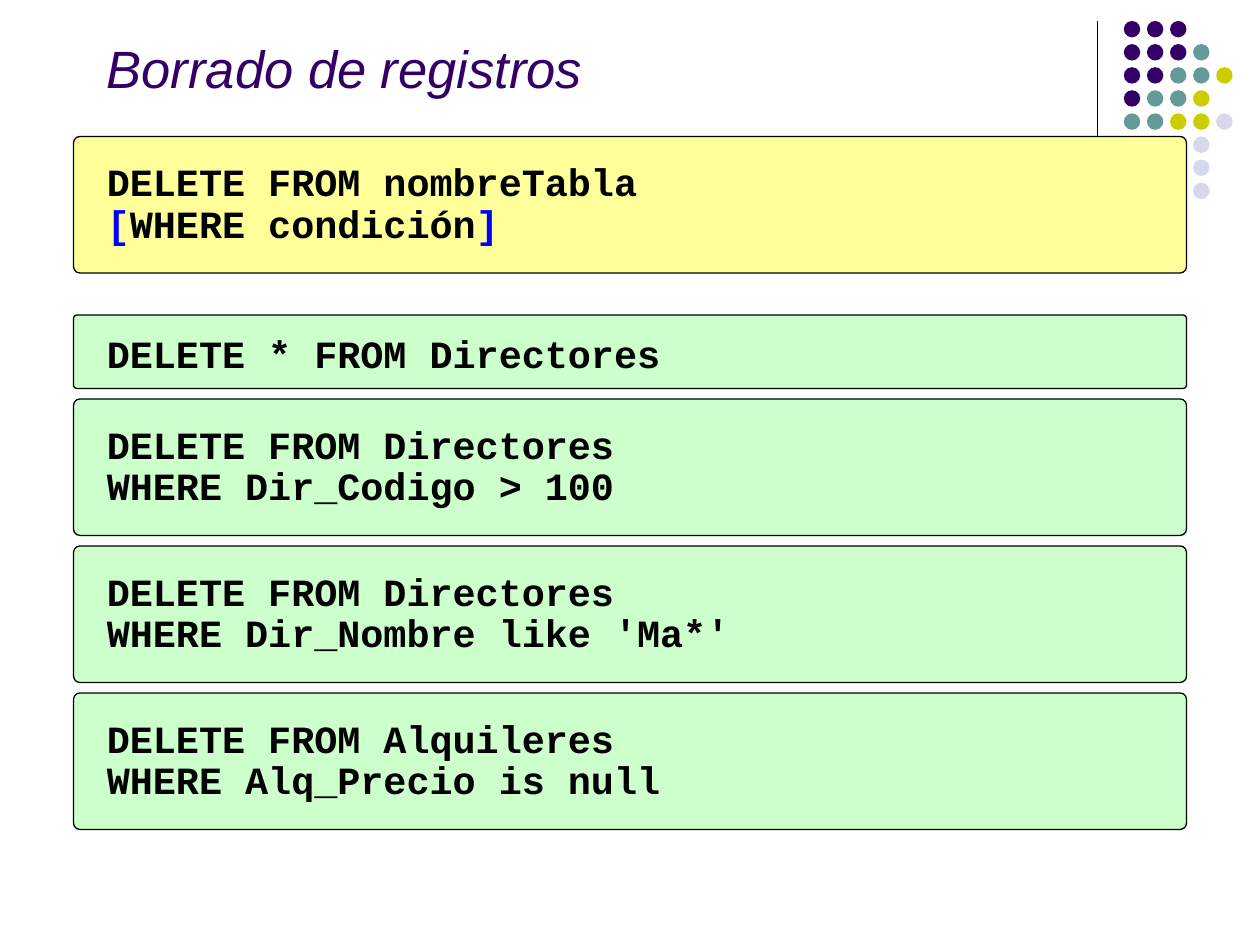
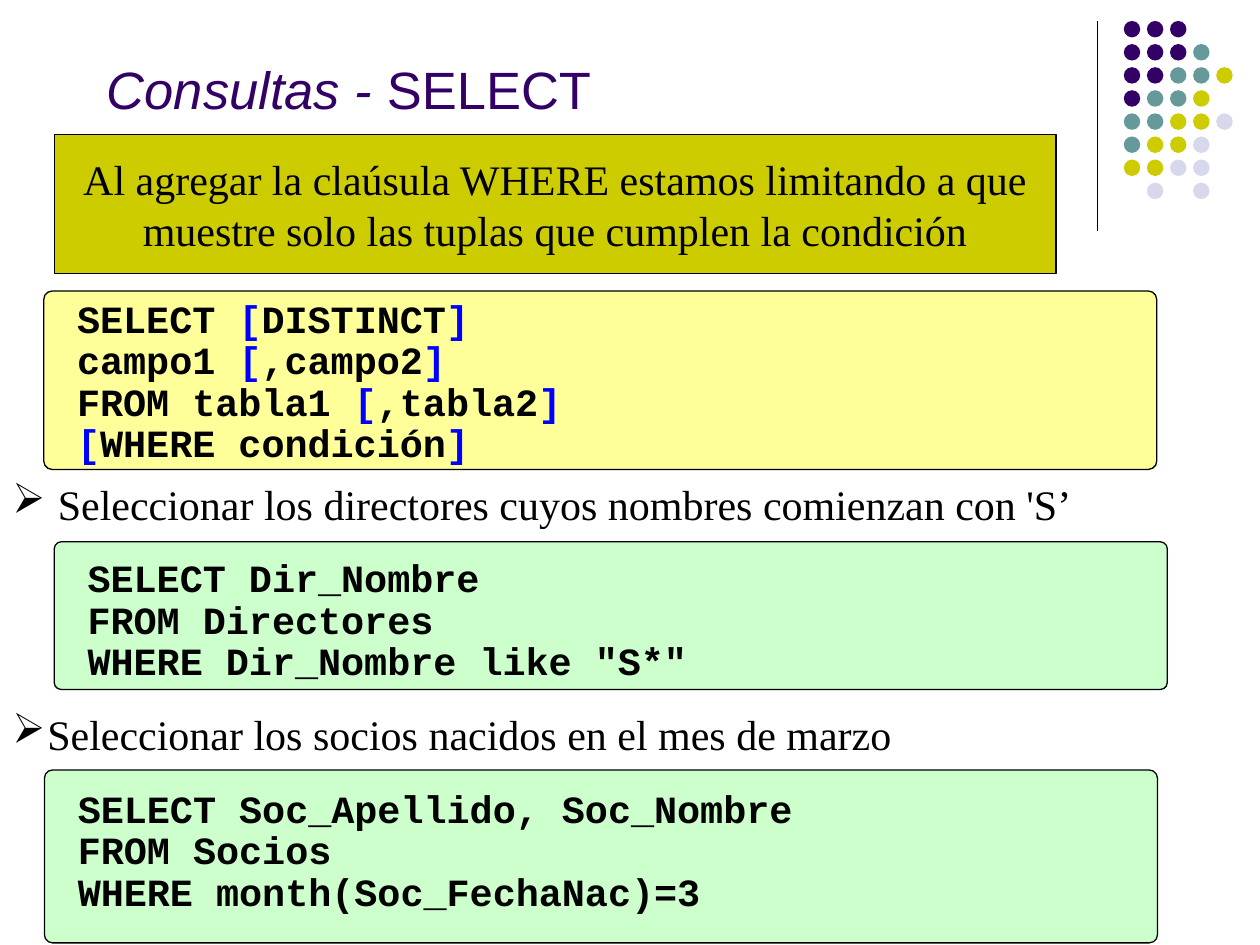
"""Two SQL slides: deleting records and SELECT queries with WHERE."""
from itertools import groupby

from lxml import etree
from pptx import Presentation
from pptx import util as u
from pptx.dml.color import RGBColor
from pptx.enum import shapes, text
from pptx.oxml import ns

Pt = u.Pt
COLORS = {"ink": "000000", "title": "330066", "bracket": "0000FF", "syntax": "FFFF99",
          "example": "CCFFCC", "P": "330066", "T": "669999", "Y": "CCCC00", "L": "D8D8EC"}
FORMATS = {
    "title": {"name": "Arial", "size": Pt(30), "italic": True},
    "code": {"name": "Courier New", "size": Pt(22), "bold": True},
    "body": {"name": "Times New Roman", "size": Pt(24)},
}
UPPER_DOTS = ["PPP", "PPPT", "PPTTY", "PTTY", "TTYYL"]
PANEL_WIDTH = 636


class Deck:
    """Holds the shared style and the current slide."""

    def __init__(self):
        self.prs = Presentation()
        self.prs.slide_width, self.prs.slide_height = Pt(720), Pt(540)
        self.slide = None

    def new_slide(self, lower_dots):
        self.slide = self.prs.slides.add_slide(self.prs.slide_layouts[6])
        self.rule(627, 12, 132)
        for row, codes in enumerate(UPPER_DOTS + lower_dots):
            for col, code in enumerate(codes):
                if code in COLORS:
                    self.shape(shapes.MSO_SHAPE.OVAL, 642.2 + 13.2 * col,
                               12 + 13.2 * row, 9.4, 9.4, code)

    def rule(self, x, top, bottom):
        rule = self.slide.shapes.add_connector(
            shapes.MSO_CONNECTOR.STRAIGHT, Pt(x), Pt(top), Pt(x), Pt(bottom))
        rule.line.color.rgb = RGBColor.from_string(COLORS["ink"])
        rule.line.width = Pt(0.75)
        etree.SubElement(rule._element.spPr, ns.qn("a:effectLst"))

    def shape(self, kind, left, top, width, height, fill, outlined=False):
        shape = self.slide.shapes.add_shape(kind, Pt(left), Pt(top), Pt(width), Pt(height))
        shape.shadow.inherit = False
        shape.fill.solid()
        shape.fill.fore_color.rgb = RGBColor.from_string(COLORS[fill])
        if outlined:
            shape.line.color.rgb = RGBColor.from_string(COLORS["ink"])
            shape.line.width = Pt(0.75)
        else:
            shape.line.fill.background()
        return shape

    def frame(self, left, top, width, height, anchor=text.MSO_ANCHOR.TOP):
        frame = self.slide.shapes.add_textbox(
            Pt(left), Pt(top), Pt(width), Pt(height)).text_frame
        frame.word_wrap = True
        frame.vertical_anchor = anchor
        return frame

    def run(self, paragraph, words, style, color="ink", **changes):
        run = paragraph.add_run()
        run.text = words
        for attribute, value in {**FORMATS[style], **changes}.items():
            setattr(run.font, attribute, value)
        run.font.color.rgb = RGBColor.from_string(COLORS[color])

    def title(self, top, italic, upright=""):
        paragraph = self.frame(54, top, 612, 36, text.MSO_ANCHOR.BOTTOM).paragraphs[0]
        self.run(paragraph, italic, "title", "title")
        if upright:
            self.run(paragraph, upright, "title", "title", italic=False)

    def code_panel(self, left, top, height, pad, fill, lines):
        panel = self.shape(shapes.MSO_SHAPE.ROUNDED_RECTANGLE, left, top,
                           PANEL_WIDTH, height, fill, outlined=True)
        panel.adjustments[0] = 0.047
        frame = self.frame(left + 12, top + pad, 618, 7.2 + 23.75 * len(lines))
        for number, line in enumerate(lines):
            paragraph = frame.add_paragraph() if number else frame.paragraphs[0]
            paragraph.line_spacing = 0.9
            for is_bracket, letters in groupby(line, key=lambda letter: letter in "[]"):
                self.run(paragraph, "".join(letters), "code",
                         "bracket" if is_bracket else "ink")

    def banner(self, left, top, width, height, words):
        banner = self.shape(shapes.MSO_SHAPE.RECTANGLE, left, top, width, height,
                            "Y", outlined=True)
        banner.text_frame.word_wrap = True
        banner.text_frame.vertical_anchor = text.MSO_ANCHOR.MIDDLE
        paragraph = banner.text_frame.paragraphs[0]
        paragraph.alignment = text.PP_ALIGN.CENTER
        self.run(paragraph, words, "body")

    def bullet(self, top, indent, words):
        paragraph = self.frame(0, top, 630, 36).paragraphs[0]
        properties = paragraph._p.get_or_add_pPr()
        properties.set("marL", str(Pt(indent)))
        properties.set("indent", str(-Pt(indent)))
        etree.SubElement(properties, ns.qn("a:buChar"), char="➢")
        self.run(paragraph, words, "body")


def delete_slide(deck):
    deck.new_slide(["   L"] * 3)
    deck.title(24, "Borrado de registros")
    deck.code_panel(42, 78, 78, 12, "syntax",
                    ["DELETE FROM nombreTabla", "[WHERE condición]"])
    examples = [
        ["DELETE * FROM Directores"],
        ["DELETE FROM Directores", "WHERE Dir_Codigo > 100"],
        ["DELETE FROM Directores", "WHERE Dir_Nombre like 'Ma*'"],
        ["DELETE FROM Alquileres", "WHERE Alq_Precio is null"],
    ]
    top = 180
    for lines in examples:
        height, pad = (42, 8) if len(lines) == 1 else (78, 12)
        deck.code_panel(42, top, height, pad, "example", lines)
        top += height + 6


def select_slide(deck):
    deck.new_slide(["TYYL", "YYLL", " L L"])
    deck.title(36, "Consultas - ", "SELECT")
    deck.banner(31, 77, 572.4, 79.4,
                "Al agregar la claúsula WHERE estamos limitando a que "
                "muestre solo las tuplas que cumplen la condición")
    deck.code_panel(25, 166.3, 102, 1.5, "syntax",
                    ["SELECT [DISTINCT]", "campo1 [,campo2]",
                     "FROM tabla1 [,tabla2]", "[WHERE condición]"])
    deck.bullet(270, 26, "Seleccionar los directores cuyos nombres comienzan con 'S’")
    deck.code_panel(31, 309.6, 84.4, 6.5, "example",
                    ["SELECT Dir_Nombre", "FROM Directores", 'WHERE Dir_Nombre like "S*"'])
    deck.bullet(401.4, 20, "Seleccionar los socios nacidos en el mes de marzo")
    deck.code_panel(25.4, 440, 98.8, 8, "example",
                    ["SELECT Soc_Apellido, Soc_Nombre", "FROM Socios",
                     "WHERE month(Soc_FechaNac)=3"])


def main():
    deck = Deck()
    delete_slide(deck)
    select_slide(deck)
    deck.prs.save("out.pptx")


if __name__ == "__main__":
    main()
